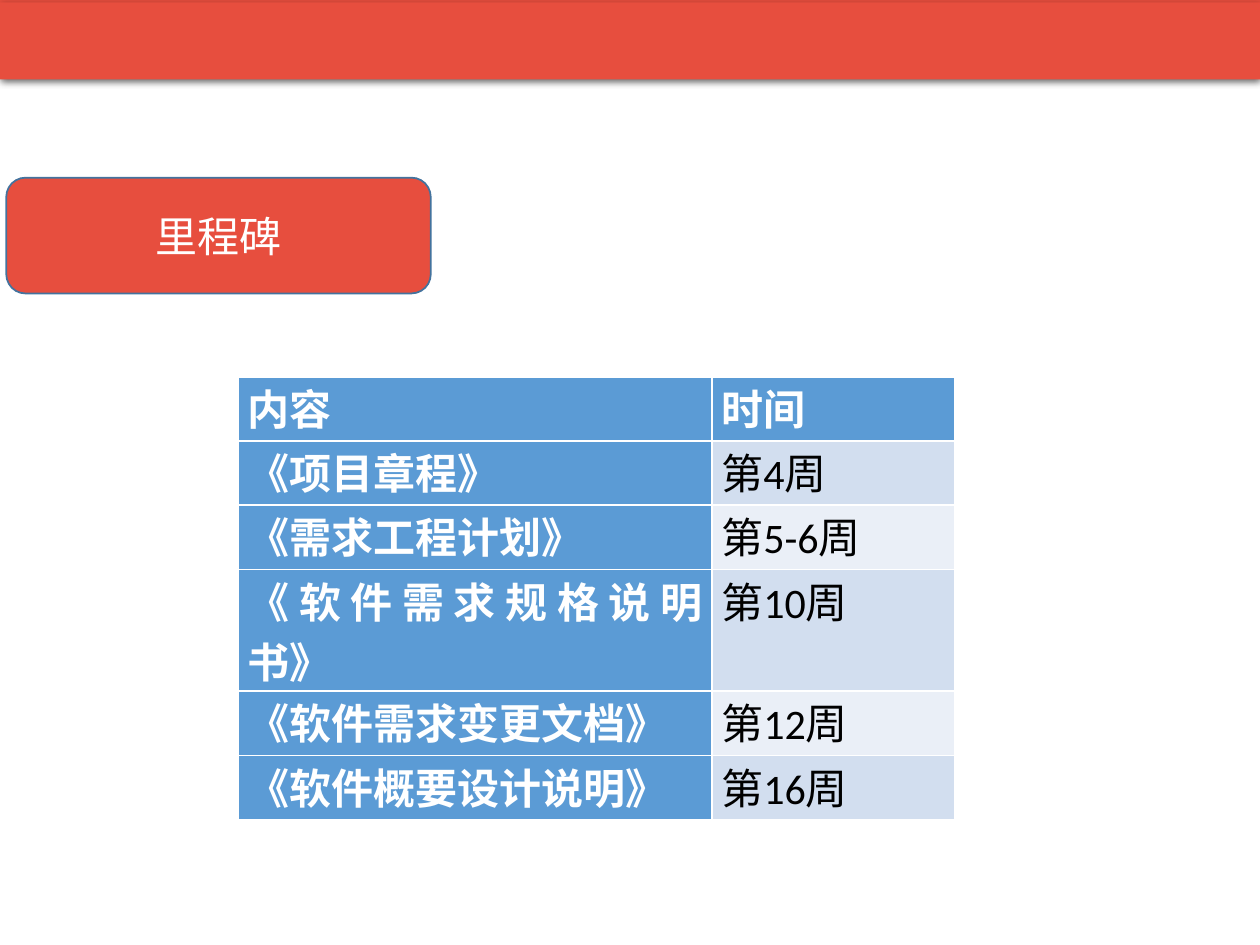
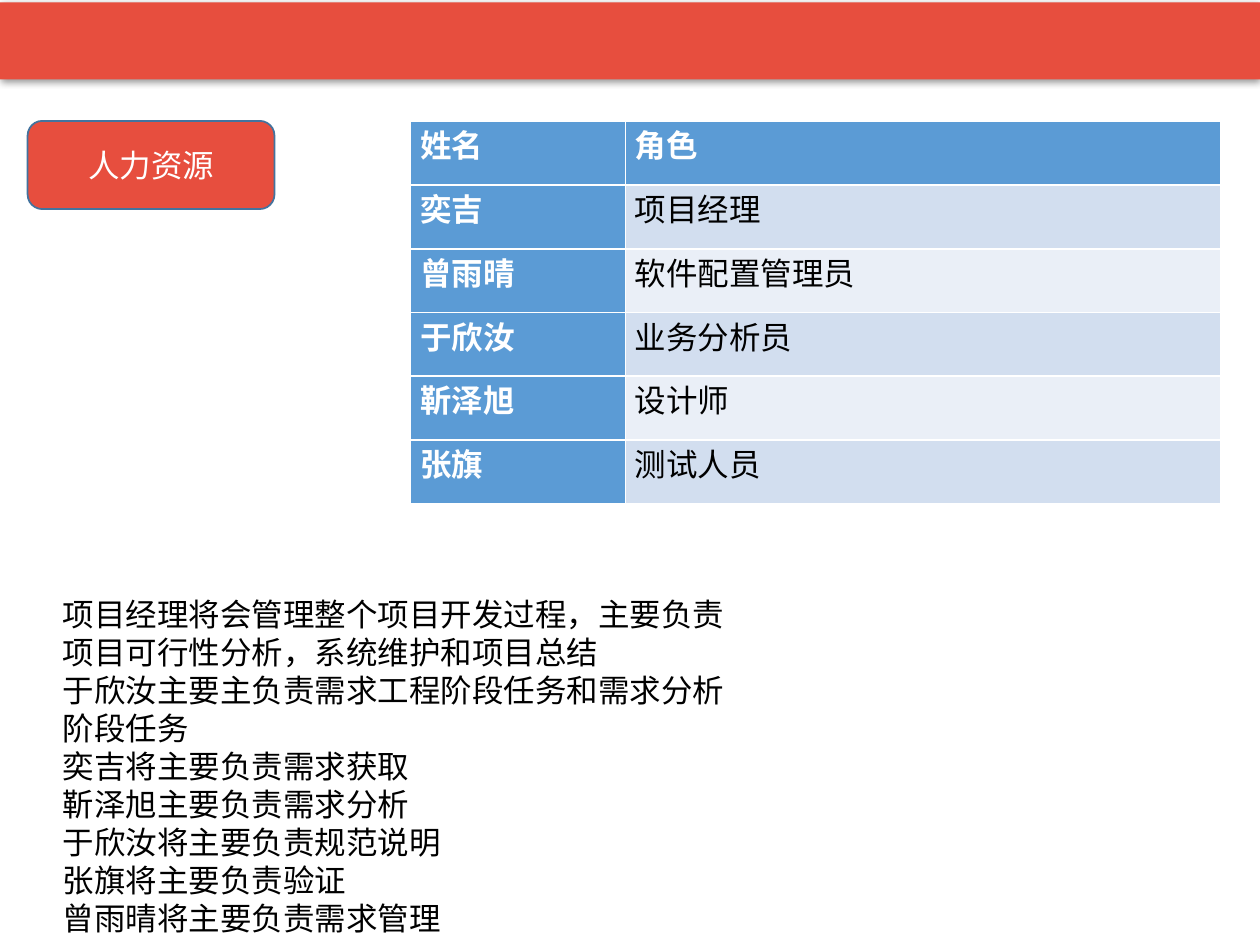
from lxml import etree
from pptx import Presentation
from pptx.dml.color import RGBColor
from pptx.enum.shapes import MSO_SHAPE
from pptx.enum.text import MSO_ANCHOR, PP_ALIGN
from pptx.oxml import parse_xml
from pptx.oxml.ns import nsdecls, qn
from pptx.util import Pt

RECTANGLE = MSO_SHAPE.RECTANGLE
ROUNDED = MSO_SHAPE.ROUNDED_RECTANGLE
CENTER, JUSTIFY, LEFT = PP_ALIGN.CENTER, PP_ALIGN.JUSTIFY, PP_ALIGN.LEFT

RED, LABEL_LINE = "E74E3E", "43739E"
BLUE, BAND_DARK, BAND_LIGHT = "5B9BD5", "D2DEEF", "EAEFF7"
WHITE, BLACK = "FFFFFF", "000000"
LATIN_FONT, CHINESE_FONT = "Calibri", "Noto Sans CJK SC"
BAND_SHADOW = (
    f'<a:effectLst {nsdecls("a")}><a:outerShdw blurRad="50800" dist="12700" '
    'dir="5400000" algn="t" rotWithShape="0"><a:srgbClr val="000000">'
    '<a:alpha val="40000"/></a:srgbClr></a:outerShdw></a:effectLst>'
)


def rgb(color):
    return RGBColor.from_string(color)


def write(paragraph, text, size, color, alignment, bold=False):
    """Fill a paragraph and set its Latin and East Asian fonts."""
    paragraph.text = text
    paragraph.alignment = alignment
    font = paragraph.font
    font.size, font.bold, font.name = Pt(size), bold, LATIN_FONT
    font.color.rgb = rgb(color)
    properties = paragraph._p.pPr.find(qn("a:defRPr"))
    etree.SubElement(properties, qn("a:ea"), typeface=CHINESE_FONT)


milestones = [
    ("内容", "时间"),
    ("《项目章程》", "第4周"),
    ("《需求工程计划》", "第5-6周"),
    ("《软件需求规格说明书》", "第10周"),
    ("《软件需求变更文档》", "第12周"),
    ("《软件概要设计说明》", "第16周"),
]
roles = [
    ("姓名", "角色"),
    ("奕吉", "项目经理"),
    ("曾雨晴", "软件配置管理员"),
    ("于欣汝", "业务分析员"),
    ("靳泽旭", "设计师"),
    ("张旗", "测试人员"),
]
duties = [
    "项目经理将会管理整个项目开发过程，主要负责项目可行性分析，系统维护和项目总结",
    "于欣汝主要主负责需求工程阶段任务和需求分析阶段任务",
    "奕吉将主要负责需求获取",
    "靳泽旭主要负责需求分析",
    "于欣汝将主要负责规范说明",
    "张旗将主要负责验证",
    "曾雨晴将主要负责需求管理",
]

# Label text, label box, text size, band tops, table corner, column widths, row height, rows
pages = [
    ("里程碑", (3.6, 101.5, 242.6, 66.2), 24, (0, 1.4),
     (136.1, 215.3), (270.7, 139), 36.7, milestones),
    ("人力资源", (15.8, 69.1, 141.1, 50.4), 18, (1.4,),
     (234.7, 69.4), (122.6, 340), 36.4, roles),
]

presentation = Presentation()
presentation.slide_width, presentation.slide_height = Pt(720), Pt(540)
blank_layout = presentation.slide_layouts[6]

for title, label_box, size, band_tops, corner, widths, row_height, rows in pages:
    slide = presentation.slides.add_slide(blank_layout)

    label = slide.shapes.add_shape(ROUNDED, *map(Pt, label_box))
    label.shadow.inherit = False
    label.fill.solid()
    label.fill.fore_color.rgb = rgb(RED)
    label.line.color.rgb = rgb(LABEL_LINE)
    label.line.width = Pt(1)
    label.text_frame.vertical_anchor = MSO_ANCHOR.MIDDLE
    write(label.text_frame.paragraphs[0], title, size, WHITE, CENTER)

    for top in band_tops:
        band = slide.shapes.add_shape(RECTANGLE, Pt(0), Pt(top), Pt(720), Pt(44))
        band.fill.solid()
        band.fill.fore_color.rgb = rgb(RED)
        band.line.fill.background()
        band._element.spPr.append(parse_xml(BAND_SHADOW))

    table = slide.shapes.add_table(
        len(rows), len(widths), *map(Pt, corner),
        Pt(sum(widths)), Pt(row_height * len(rows))).table
    table.first_col = True
    for column, width in zip(table.columns, widths):
        column.width = Pt(width)
    for row_index, texts in enumerate(rows):
        table.rows[row_index].height = Pt(row_height)
        for column_index, text in enumerate(texts):
            heading = row_index == 0 or column_index == 0
            stripe = BAND_DARK if row_index % 2 else BAND_LIGHT
            cell = table.cell(row_index, column_index)
            cell.margin_left = cell.margin_right = Pt(5.4)
            cell.margin_top = cell.margin_bottom = 0
            cell.fill.solid()
            cell.fill.fore_color.rgb = rgb(BLUE if heading else stripe)
            write(cell.text_frame.paragraphs[0], text, size,
                  WHITE if heading else BLACK, JUSTIFY, heading)

duties_frame = slide.shapes.add_textbox(Pt(28.8), Pt(336.2), Pt(400.3), Pt(202)).text_frame
duties_frame.word_wrap = True
for index, duty in enumerate(duties):
    paragraph = duties_frame.add_paragraph() if index else duties_frame.paragraphs[0]
    write(paragraph, duty, 18, BLACK, LEFT)
    paragraph.line_spacing = Pt(21.7)

presentation.save("out.pptx")
